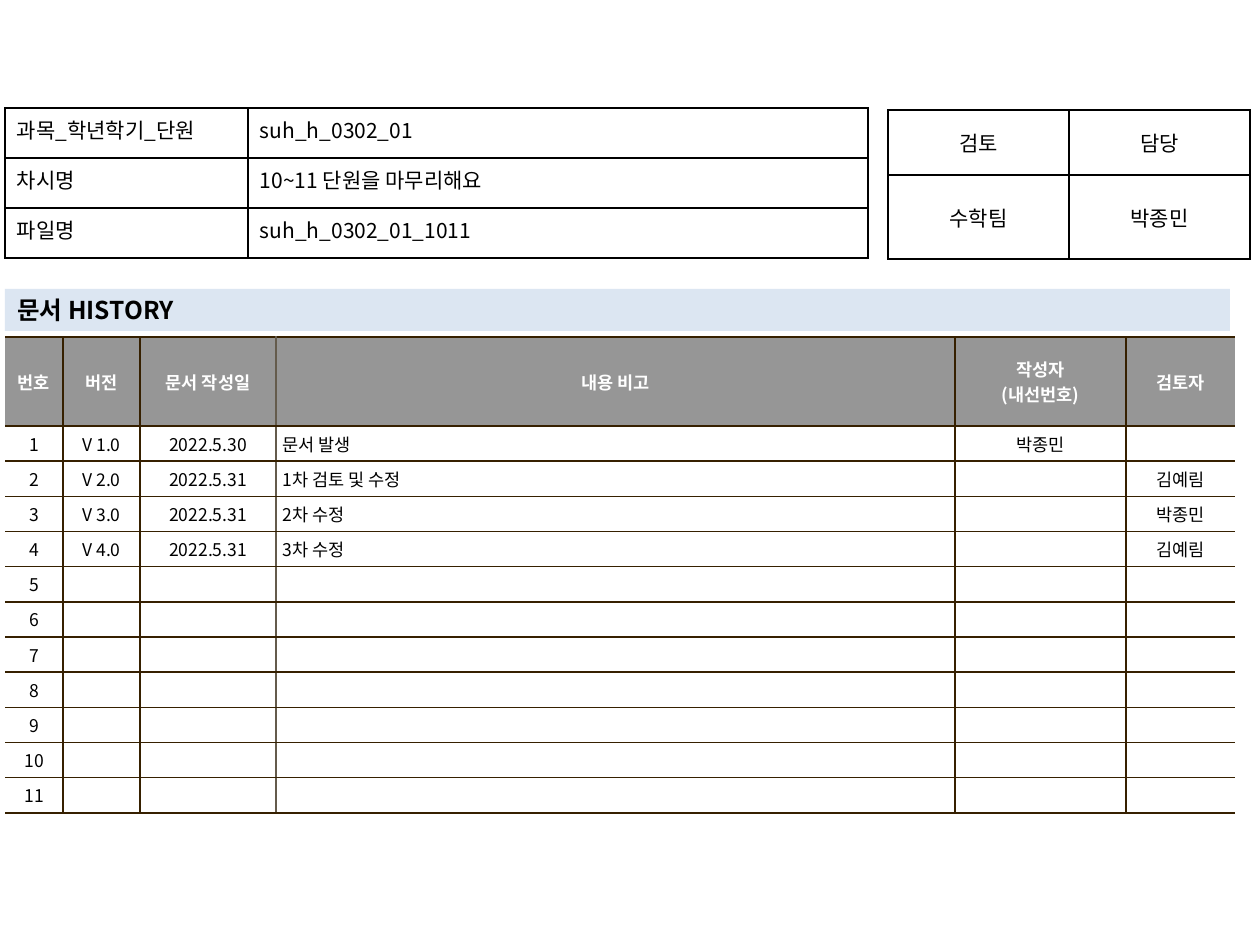
from lxml import etree
from pptx import Presentation
from pptx.dml.color import RGBColor
from pptx.enum.shapes import MSO_SHAPE
from pptx.enum.text import MSO_ANCHOR, PP_ALIGN
from pptx.oxml.ns import qn
from pptx.util import Pt

EMU_PER_PX = 7257.6
FONT = "Noto Sans CJK KR"
BLACK, WHITE, GREY = "000000", "FFFFFF", "969696"
BROWN, TAUPE, PALE_BLUE = "362000", "645B4C", "DCE6F2"
LEFT, CENTER, JUSTIFY = PP_ALIGN.LEFT, PP_ALIGN.CENTER, PP_ALIGN.JUSTIFY
TOP, MIDDLE = MSO_ANCHOR.TOP, MSO_ANCHOR.MIDDLE
RECTANGLE = MSO_SHAPE.RECTANGLE

INFO = [
    ["과목_학년학기_단원", "suh_h_0302_01"],
    ["차시명", "10~11 단원을 마무리해요"],
    ["파일명", "suh_h_0302_01_1011"],
]
REVIEW = [["검토", "담당"], ["수학팀", "박종민"]]
HISTORY_HEADER = ["번호", "버전", "문서 작성일", "내용 비고", "작성자\n(내선번호)", "검토자"]
REVISIONS = [
    ["V 1.0", "2022.5.30", "문서 발생", "박종민", ""],
    ["V 2.0", "2022.5.31", "1차 검토 및 수정", "", "김예림"],
    ["V 3.0", "2022.5.31", "2차 수정", "", "박종민"],
    ["V 4.0", "2022.5.31", "3차 수정", "", "김예림"],
]
HISTORY_ROWS = 11
NOTE_COLUMN = 3


def px(value):
    return round(value * EMU_PER_PX)


def color(value):
    return RGBColor.from_string(value)


def write(frame, text, size, ink=BLACK, bold=False, align=LEFT):
    frame.text = text
    for paragraph in frame.paragraphs:
        paragraph.alignment = align
        for run in paragraph.runs:
            run.font.size = Pt(size)
            run.font.name = FONT
            run.font.bold = bold
            run.font.color.rgb = color(ink)
            east_asian = etree.SubElement(run.font._element, qn("a:ea"))
            east_asian.set("typeface", FONT)
        if not text:
            end = etree.SubElement(paragraph._p, qn("a:endParaRPr"))
            end.set("sz", str(size * 100))


def set_borders(cell, left, right, top, bottom):
    properties = cell._tc.get_or_add_tcPr()
    for side, ink in zip("LRTB", (left, right, top, bottom)):
        line = etree.SubElement(properties, qn(f"a:ln{side}"), w=str(Pt(1)))
        if ink:
            fill = etree.SubElement(line, qn("a:solidFill"))
            etree.SubElement(fill, qn("a:srgbClr"), val=ink)
        else:
            etree.SubElement(line, qn("a:noFill"))


def add_grid(slide, left, top, widths, heights):
    frame = slide.shapes.add_table(
        len(heights), len(widths), px(left), px(top), px(sum(widths)), px(sum(heights))
    )
    table = frame.table
    table.first_row = table.horz_banding = False
    for column, width in zip(table.columns, widths):
        column.width = px(width)
    for row, height in zip(table.rows, heights):
        row.height = px(height)
    return table


def set_padding(cell, across, down, anchor):
    cell.margin_left = cell.margin_right = px(across)
    cell.margin_top = cell.margin_bottom = px(down)
    cell.vertical_anchor = anchor


def add_boxed_table(slide, left, top, widths, heights, content, aligns, anchor):
    table = add_grid(slide, left, top, widths, heights)
    for r, row in enumerate(content):
        for c, text in enumerate(row):
            cell = table.cell(r, c)
            set_borders(cell, BLACK, BLACK, BLACK, BLACK)
            cell.fill.background()
            set_padding(cell, 12, 6, anchor)
            write(cell.text_frame, text, 12, align=aligns[c])


def add_history_table(slide, left, top, widths, header_height, row_height):
    blanks = [[""] * 5] * (HISTORY_ROWS - len(REVISIONS))
    numbered = [[str(n), *entry] for n, entry in enumerate(REVISIONS + blanks, 1)]
    content = [HISTORY_HEADER] + numbered
    heights = [header_height] + [row_height] * HISTORY_ROWS
    table = add_grid(slide, left, top, widths, heights)
    edges = [None] + [BROWN] * (len(widths) - 1) + [None]
    edges[NOTE_COLUMN] = TAUPE
    for r, row in enumerate(content):
        is_header = r == 0
        for c, text in enumerate(row):
            cell = table.cell(r, c)
            set_borders(cell, edges[c], edges[c + 1], BROWN, BROWN)
            cell.fill.solid()
            cell.fill.fore_color.rgb = color(GREY if is_header else WHITE)
            set_padding(cell, 7, 5, MIDDLE)
            align = LEFT if c == NOTE_COLUMN and not is_header else CENTER
            write(cell.text_frame, text, 10, WHITE if is_header else BLACK, is_header, align)


def add_heading_bar(slide, left, top, width, height, text):
    bar = slide.shapes.add_shape(RECTANGLE, px(left), px(top), px(width), px(height))
    bar.shadow.inherit = False
    bar.fill.solid()
    bar.fill.fore_color.rgb = color(PALE_BLUE)
    bar.line.fill.background()
    bar.text_frame.word_wrap = True
    bar.text_frame.vertical_anchor = MIDDLE
    write(bar.text_frame, text, 14, bold=True)


def main():
    deck = Presentation()
    deck.slide_width, deck.slide_height = px(1260), px(945)
    slide = deck.slides.add_slide(deck.slide_layouts[6])
    add_history_table(slide, 5, 337, [58, 77, 136, 679, 171, 109], 89, 35)
    add_boxed_table(slide, 888, 110, [181, 181], [65, 84], REVIEW, [CENTER, CENTER], MIDDLE)
    add_heading_bar(slide, 5, 289, 1225, 42, "문서 HISTORY")
    add_boxed_table(slide, 5, 108, [243, 620], [50] * 3, INFO, [JUSTIFY, LEFT], TOP)
    deck.save("out.pptx")


if __name__ == "__main__":
    main()
